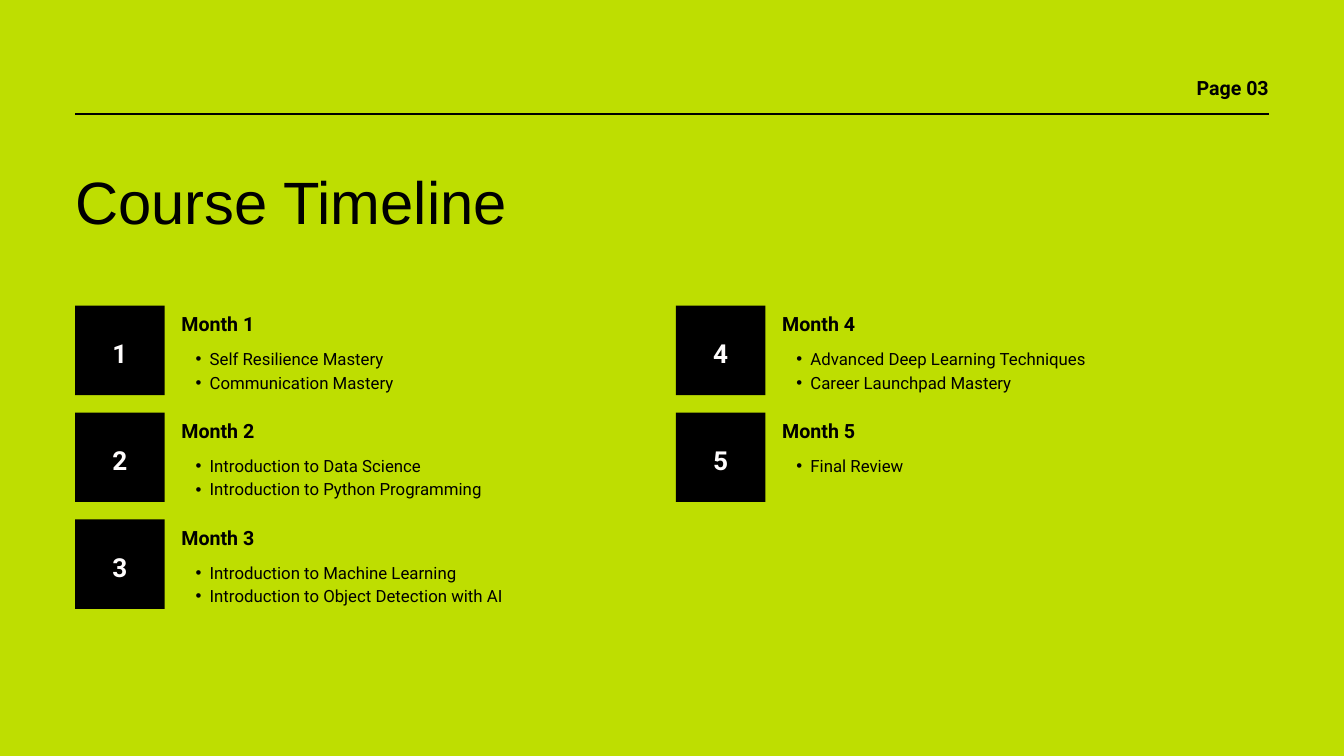
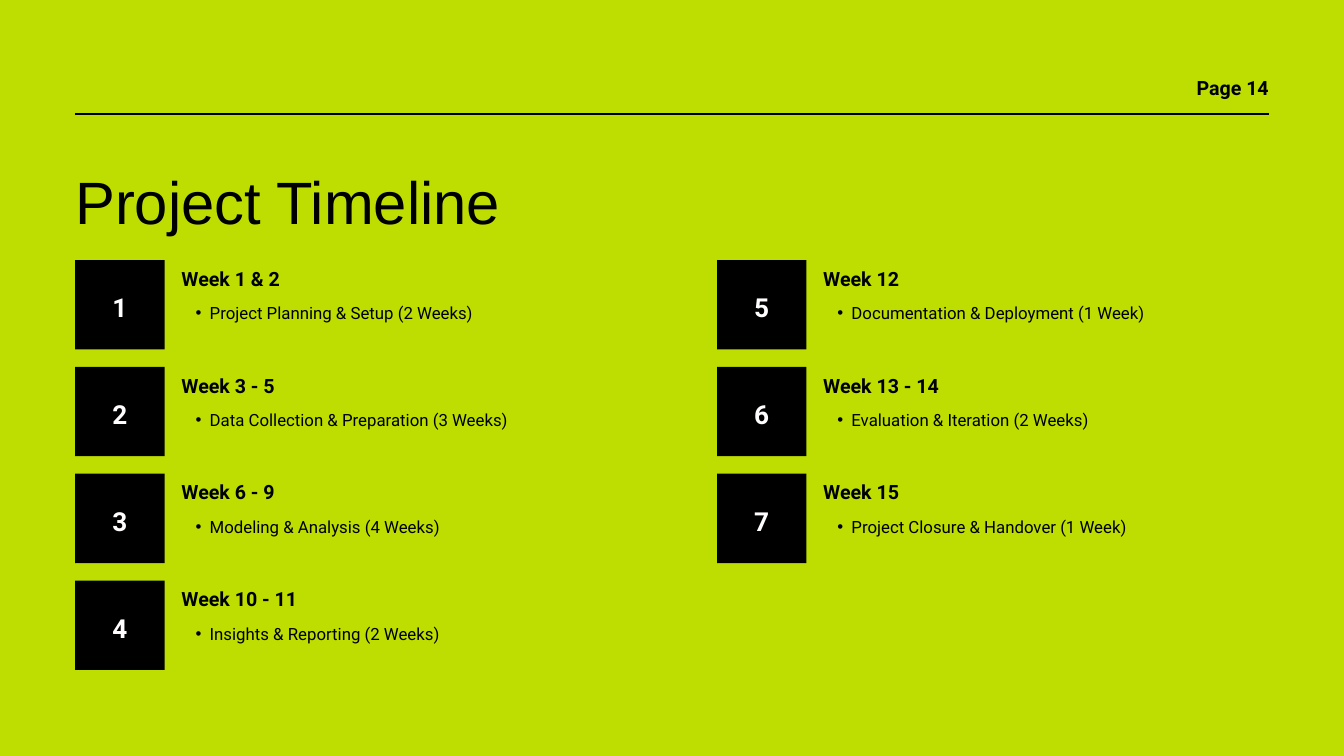
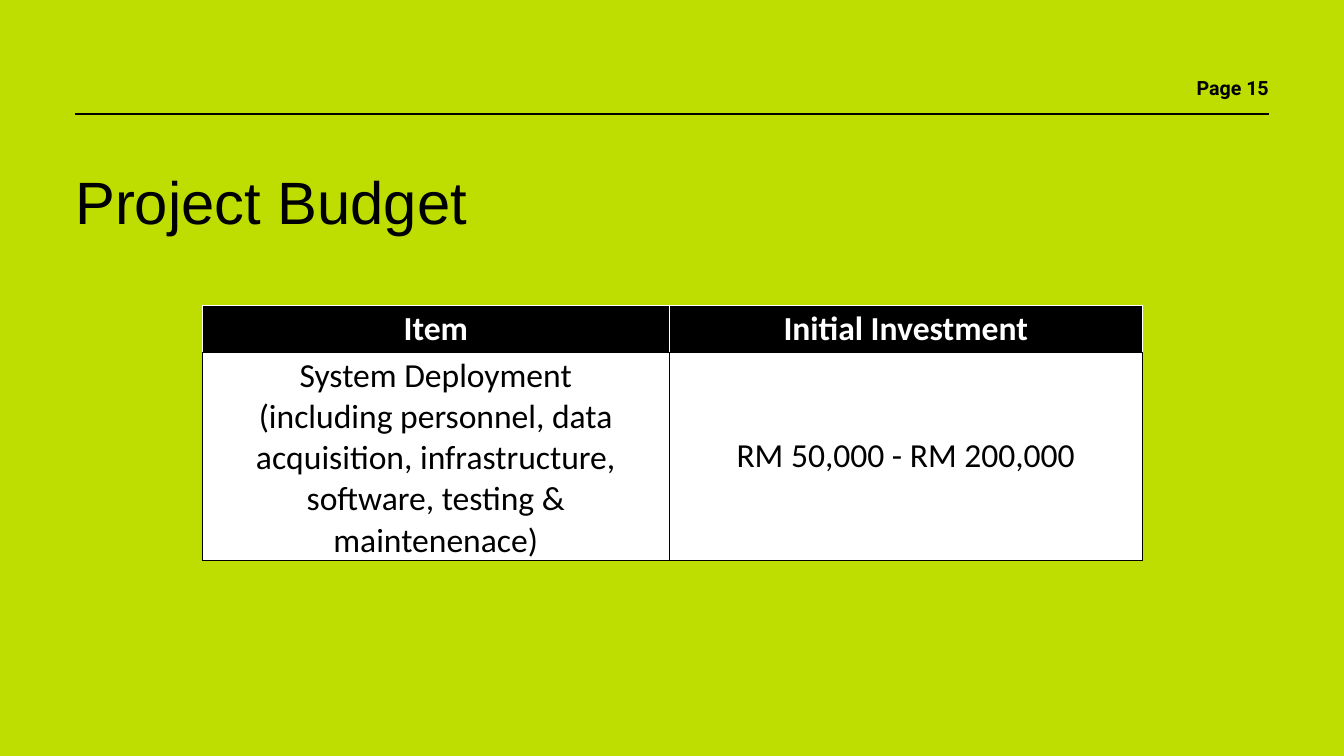
import pptx
import pptx.dml.color
import pptx.enum.shapes
import pptx.enum.text
import pptx.oxml
import pptx.oxml.ns
import pptx.util
from lxml import etree

PX = 9144  # 100 px to the inch
LEFT, RIGHT = 112, 1888
BADGE = 133
ROW_STEP = 159
LIME, BLACK, WHITE, OFF_WHITE = "BEDE01", "000000", "FFFFFF", "FFFDFD"
TITLE_FONT, BODY_FONT, TABLE_FONT = "Arial", "Roboto", "Calibri"
ALIGN = pptx.enum.text.PP_ALIGN


def px(n):
    return pptx.util.Emu(n * PX)


def rgb(value):
    return pptx.dml.color.RGBColor.from_string(value)


def add_xml(parent, tag, **attributes):
    return etree.SubElement(parent, pptx.oxml.ns.qn(tag), **attributes)


def style_paragraph(p, size, font, color, bold=False, align=ALIGN.LEFT):
    p.alignment = align
    for r in p.runs:
        r.font.size = pptx.util.Pt(size)
        r.font.name = font
        r.font.bold = bold
        r.font.color.rgb = rgb(color)


class Deck:
    def __init__(self):
        self.prs = pptx.Presentation()
        self.prs.slide_width, self.prs.slide_height = px(2000), px(1125)
        self.s = None

    def slide(self, title, page):
        """Start a slide with the shared background, header rule, page number and title."""
        self.s = self.prs.slides.add_slide(self.prs.slide_layouts[6])
        fill = self.s.background.fill
        fill.solid()
        fill.fore_color.rgb = rgb(LIME)
        self.rule(LEFT, RIGHT, 169)
        self.text(1749, 107, 139, 41, [f"Page {page:02}"], 21, 29.4, bold=True, align=ALIGN.RIGHT)
        self.text(LEFT, 228, 1171, 126, [title], 64, 89.6, font=TITLE_FONT)

    def rule(self, x1, x2, y):
        line = self.s.shapes.add_connector(
            pptx.enum.shapes.MSO_CONNECTOR.STRAIGHT, px(x1), px(y), px(x2), px(y))
        line.line.color.rgb = rgb(BLACK)
        line.line.width = pptx.util.Pt(2.25)
        add_xml(line.element.spPr, "a:effectLst")

    def text(self, x, y, w, h, lines, size, leading, font=BODY_FONT, color=BLACK,
             bold=False, align=ALIGN.LEFT, bullets=False):
        tf = self.s.shapes.add_textbox(px(x), px(y), px(w), px(h)).text_frame
        tf.margin_left = tf.margin_top = tf.margin_right = tf.margin_bottom = 0
        tf.word_wrap = True
        tf.auto_size = pptx.enum.text.MSO_AUTO_SIZE.SHAPE_TO_FIT_TEXT
        tf.text = "\n".join(lines)
        for p in tf.paragraphs:
            p.line_spacing = pptx.util.Pt(leading)
            if bullets:
                self.bullet(p)
            style_paragraph(p, size, font, color, bold, align)

    def bullet(self, p):
        p.level = 1
        pPr = p._p.get_or_add_pPr()
        pPr.set("marL", str(px(42)))
        pPr.set("indent", str(px(-21)))
        add_xml(pPr, "a:buFont", typeface="Arial")
        add_xml(pPr, "a:buChar", char="•")

    def square(self, x, y, size):
        sp = self.s.shapes.add_shape(
            pptx.enum.shapes.MSO_SHAPE.RECTANGLE, px(x), px(y), px(size), px(size))
        sp.shadow.inherit = False
        sp.fill.solid()
        sp.fill.fore_color.rgb = rgb(BLACK)
        sp.line.fill.background()

    def step(self, x, y, number, heading, items):
        """One timeline entry: numbered square, heading and bulleted items."""
        self.square(x, y, BADGE)
        self.text(x + 20, y + 39, 93, 51, [str(number)], 28, 39.2,
                  color=OFF_WHITE, bold=True, align=ALIGN.CENTER)
        self.text(x + 158, y + 4, 423, 41, [heading], 21, 29.4, bold=True)
        self.text(x + 158, y + 59, 585, 34 * len(items), items, 18, 25.2, bullets=True)

    def timeline(self, top, right_column, rows, steps):
        """Fill the left column with the given number of rows, then the right one."""
        for i, (heading, items) in enumerate(steps):
            column, row = divmod(i, rows)
            self.step((LEFT, right_column)[column], top + row * ROW_STEP, i + 1, heading, items)

    def table(self, x, y, widths, row_height, rows):
        table = self.s.shapes.add_table(
            len(rows), len(widths), px(x), px(y), px(sum(widths)),
            px(row_height * len(rows))).table
        table.horz_banding = False
        for column, width in zip(table.columns, widths):
            column.width = px(width)
        for i, row in enumerate(rows):
            for j, value in enumerate(row):
                self.cell(table.cell(i, j), value, header=i == 0)

    def cell(self, cell, value, header):
        edge = WHITE if header else BLACK
        fill, color = (BLACK, WHITE) if header else (WHITE, BLACK)
        tcPr = cell._tc.get_or_add_tcPr()
        for side, line_color in (("L", edge), ("R", edge), ("T", edge), ("B", BLACK)):
            line = add_xml(tcPr, f"a:ln{side}", w=str(pptx.util.Pt(1)))
            add_xml(add_xml(line, "a:solidFill"), "a:srgbClr", val=line_color)
        cell.fill.solid()
        cell.fill.fore_color.rgb = rgb(fill)
        cell.vertical_anchor = pptx.enum.text.MSO_ANCHOR.MIDDLE
        cell.text_frame.text = value
        for p in cell.text_frame.paragraphs:
            style_paragraph(p, 36, TABLE_FONT, color, header, ALIGN.CENTER)


COURSE = [
    ("Month 1", ["Self Resilience Mastery", "Communication Mastery"]),
    ("Month 2", ["Introduction to Data Science", "Introduction to Python Programming"]),
    ("Month 3", ["Introduction to Machine Learning", "Introduction to Object Detection with AI"]),
    ("Month 4", ["Advanced Deep Learning Techniques", "Career Launchpad Mastery"]),
    ("Month 5", ["Final Review"]),
]
PROJECT = [
    ("Week 1 & 2", ["Project Planning & Setup (2 Weeks)"]),
    ("Week 3 - 5", ["Data Collection & Preparation (3 Weeks)"]),
    ("Week 6 - 9", ["Modeling & Analysis (4 Weeks)"]),
    ("Week 10 - 11", ["Insights & Reporting (2 Weeks)"]),
    ("Week 12", ["Documentation & Deployment (1 Week)"]),
    ("Week 13 - 14", ["Evaluation & Iteration (2 Weeks)"]),
    ("Week 15", ["Project Closure & Handover (1 Week)"]),
]
BUDGET = [
    ("Item", "Initial Investment"),
    ("System Deployment\n(including personnel, data\nacquisition, infrastructure,\n"
     "software, testing &\nmaintenenace)", "RM 50,000 - RM 200,000"),
]


def main():
    deck = Deck()
    deck.slide("Course Timeline", 3)
    deck.timeline(455, 1006, 3, COURSE)
    deck.slide("Project Timeline", 14)
    deck.timeline(387, 1067, 4, PROJECT)
    deck.slide("Project Budget", 15)
    deck.table(301, 454, [695, 704], 47, BUDGET)
    deck.prs.save("out.pptx")


if __name__ == "__main__":
    main()
